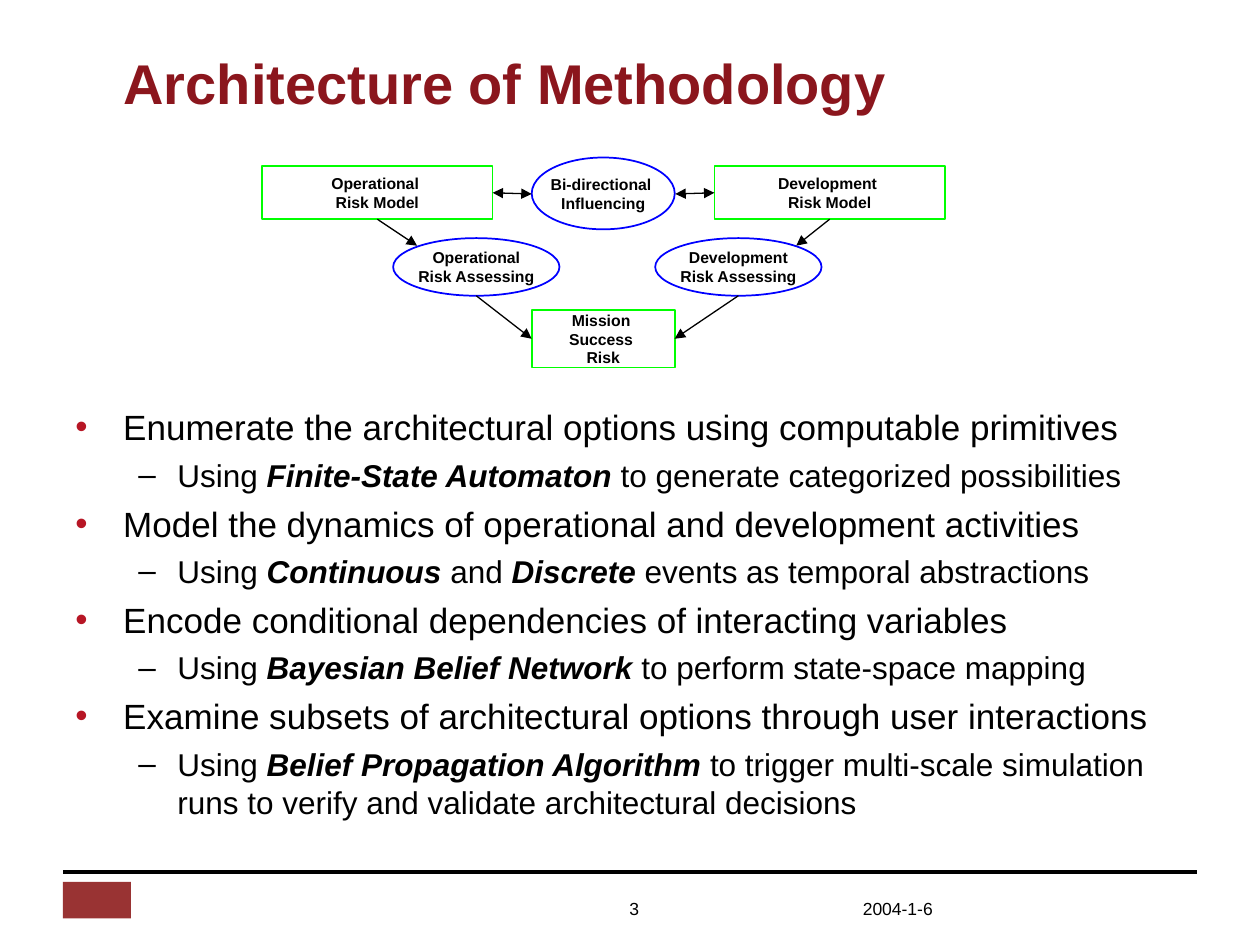
"""Build the "Architecture of Methodology" slide."""
from dataclasses import dataclass
from typing import Optional

from lxml.etree import SubElement
from pptx import Presentation
from pptx.dml.color import RGBColor
from pptx.enum.shapes import MSO_CONNECTOR as Connector, MSO_SHAPE as Preset
from pptx.enum.text import MSO_ANCHOR as Anchor, MSO_AUTO_SIZE as AutoSize, PP_ALIGN as Align
from pptx.oxml.ns import qn
from pptx.util import Inches, Pt

WIDTH, HEIGHT = Inches(10), Inches(7.5)
BLACK = RGBColor(0x00, 0x00, 0x00)
MAROON = RGBColor(0x8B, 0x16, 0x1D)
BULLET_RED = RGBColor(0xB7, 0x16, 0x25)
EMBLEM_RED = RGBColor(0x99, 0x33, 0x33)
GREEN = RGBColor(0x00, 0xFF, 0x00)
BLUE = RGBColor(0x00, 0x00, 0xFF)
TOP, LEFT, BOTTOM, RIGHT = range(4)


@dataclass(frozen=True)
class Box:
    """A rectangle in percent of the slide's width and height."""
    left: float
    top: float
    width: float
    height: float

    def emu(self) -> tuple:
        return (*point(self.left, self.top), *point(self.width, self.height))


@dataclass(frozen=True)
class Node:
    """A model (rectangle) or activity (ellipse) of the diagram."""
    key: str
    box: Box
    lines: tuple
    is_model: bool


@dataclass(frozen=True)
class Link:
    """An arrow in percent, joined to a model's side at its start or end."""
    start: tuple
    end: tuple
    source: Optional[tuple] = None
    target: Optional[tuple] = None
    two_way: bool = False


@dataclass(frozen=True)
class Level:
    """The format of one bullet level."""
    size: float
    space_before: float
    margin: float
    indent: float
    bullet: str
    color: RGBColor


LEVELS = (Level(20, 5, 0.38, -0.38, "•", BULLET_RED),
          Level(18, 4.5, 0.81, -0.31, "–", BLACK))

NODES = (
    Node("operational", Box(20.8, 17.6, 18.3, 5.6), ("Operational ", "Risk Model"), True),
    Node("influencing", Box(42.2, 16.67, 11.35, 7.6), ("Bi-directional ", "Influencing"), False),
    Node("development", Box(56.7, 17.6, 18.3, 5.6), ("Development ", "Risk Model"), True),
    Node("assess operational", Box(31.2, 25.2, 13.2, 6.1), ("Operational", "Risk Assessing"), False),
    Node("assess development", Box(52, 25.2, 13.2, 6.1), ("Development", "Risk Assessing"), False),
    Node("mission", Box(42.2, 32.8, 11.35, 6.1), ("Mission ", "Success ", "Risk"), True),
)

LINKS = (
    Link((39.1, 20.4), (42.2, 20.53), source=("operational", RIGHT), two_way=True),
    Link((53.6, 20.53), (56.7, 20.4), target=("development", LEFT), two_way=True),
    Link((30, 23.2), (33.1, 26), source=("operational", BOTTOM)),
    Link((37.8, 31.3), (42.2, 35.87), target=("mission", LEFT)),
    Link((58.6, 31.3), (53.6, 35.87), target=("mission", RIGHT)),
    Link((65.9, 23.2), (63.2, 26), source=("development", BOTTOM)),
)

OUTLINE = (
    (0, "Enumerate the architectural options using computable primitives"),
    (1, "Using |Finite-State Automaton| to generate categorized possibilities"),
    (0, "Model the dynamics of operational and development activities"),
    (1, "Using |Continuous |and| Discrete |events as temporal abstractions"),
    (0, "Encode conditional dependencies of interacting variables"),
    (1, "Using |Bayesian Belief Network| to perform state-space mapping"),
    (0, "Examine subsets of architectural options through user interactions"),
    (1, "Using |Belief Propagation Algorithm| to trigger multi-scale simulation "
        "runs to verify and validate architectural decisions"),
)


def point(x: float, y: float) -> tuple:
    """Turn percents of the slide into lengths."""
    return round(WIDTH * x / 100), round(HEIGHT * y / 100)


def write(paragraph, text: str, *, size: float, color: RGBColor = BLACK,
          bold: bool = False, italic: bool = False, align: Align = Align.LEFT) -> None:
    """Add a formatted run to a paragraph."""
    paragraph.alignment = align
    run = paragraph.add_run()
    run.text = text
    font = run.font
    font.name, font.size, font.bold, font.italic = "Arial", Pt(size), bold, italic
    font.color.rgb = color


def paragraph_at(frame, index: int):
    """Return the first paragraph or append a new one."""
    return frame.paragraphs[0] if index == 0 else frame.add_paragraph()


def add_label(slide, box: Box, text: str, align: Align) -> None:
    """Add a footer label."""
    frame = slide.shapes.add_textbox(*box.emu()).text_frame
    frame.word_wrap = True
    write(frame.paragraphs[0], text, size=10, align=align)


def set_bullet(paragraph, level: Level) -> None:
    """Give a paragraph its bullet and hanging indent."""
    properties = paragraph._p.get_or_add_pPr()
    properties.set("marL", str(Inches(level.margin)))
    properties.set("indent", str(Inches(level.indent)))
    color = SubElement(properties, qn("a:buClr"))
    SubElement(color, qn("a:srgbClr"), val=str(level.color))
    SubElement(properties, qn("a:buFont"), typeface="Arial")
    SubElement(properties, qn("a:buChar"), char=level.bullet)


def add_outline(slide, box: Box) -> None:
    """Add the bulleted text with its emphasised terms."""
    frame = slide.shapes.add_textbox(*box.emu()).text_frame
    frame.word_wrap = True
    for index, (depth, text) in enumerate(OUTLINE):
        level = LEVELS[depth]
        paragraph = paragraph_at(frame, index)
        paragraph.level = depth
        set_bullet(paragraph, level)
        if index:
            paragraph.space_before = Pt(level.space_before)
        for part, words in enumerate(text.split("|")):
            emphasised = part % 2 == 1
            write(paragraph, words, size=level.size, bold=emphasised, italic=emphasised)


def add_node(slide, node: Node):
    """Draw one diagram node."""
    preset = Preset.RECTANGLE if node.is_model else Preset.OVAL
    shape = slide.shapes.add_shape(preset, *node.box.emu())
    shape.shadow.inherit = False
    shape.fill.background()
    shape.line.color.rgb = GREEN if node.is_model else BLUE
    shape.line.width = Pt(1)
    frame = shape.text_frame
    frame.word_wrap = False
    frame.vertical_anchor = Anchor.MIDDLE
    for index, text in enumerate(node.lines):
        write(paragraph_at(frame, index), text, size=9, bold=True, align=Align.CENTER)
    return shape


def add_line(slide, start: tuple, end: tuple, width: float):
    """Draw a plain black line."""
    line = slide.shapes.add_connector(Connector.STRAIGHT, *point(*start), *point(*end))
    line.line.color.rgb = BLACK
    line.line.width = Pt(width)
    SubElement(line._element.spPr, qn("a:effectLst"))
    return line


def add_link(slide, link: Link, nodes: dict) -> None:
    """Draw an arrow and join it to its model."""
    arrow = add_line(slide, link.start, link.end, 0.75)
    if link.source:
        arrow.begin_connect(nodes[link.source[0]], link.source[1])
    if link.target:
        arrow.end_connect(nodes[link.target[0]], link.target[1])
    for tag in ("a:headEnd", "a:tailEnd") if link.two_way else ("a:tailEnd",):
        SubElement(arrow.line._get_or_add_ln(), qn(tag), type="triangle")


def main() -> None:
    """Build and save the slide."""
    deck = Presentation()
    deck.slide_width, deck.slide_height = WIDTH, HEIGHT
    slide = deck.slides.add_slide(deck.slide_layouts[5])

    title = slide.shapes.title
    title.left, title.top, title.width, title.height = Box(8.8, 4, 84.2, 9.33).emu()
    title.text_frame.auto_size = AutoSize.NONE
    title.text_frame.vertical_anchor = Anchor.MIDDLE
    write(title.text_frame.paragraphs[0], "Architecture of Methodology",
          size=32, color=MAROON, bold=True)

    add_line(slide, (5, 92.27), (95, 92.27), 2)
    emblem = slide.shapes.add_shape(Preset.RECTANGLE, *Box(5, 93.33, 5.4, 3.87).emu())
    emblem.shadow.inherit = False
    emblem.fill.solid()
    emblem.fill.fore_color.rgb = EMBLEM_RED
    emblem.line.fill.background()
    add_label(slide, Box(46.7, 94.4, 5, 5.6), "3", Align.RIGHT)
    add_label(slide, Box(67.5, 94.4, 9, 3.6), "2004-1-6", Align.LEFT)

    add_outline(slide, Box(5, 42.27, 90, 46.67))
    nodes = {node.key: add_node(slide, node) for node in NODES}
    for link in LINKS:
        add_link(slide, link, nodes)
    deck.save("out.pptx")


if __name__ == "__main__":
    main()
